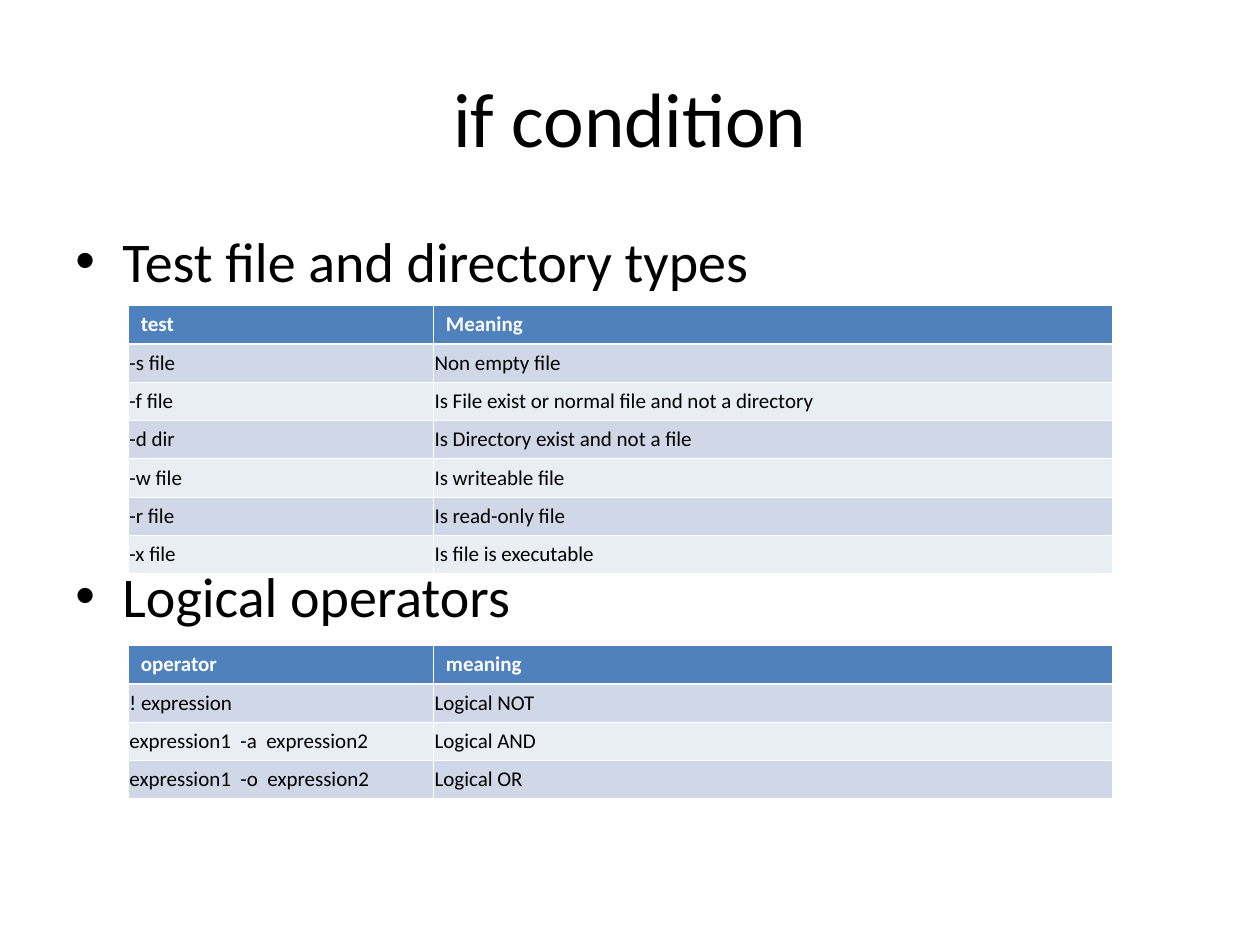
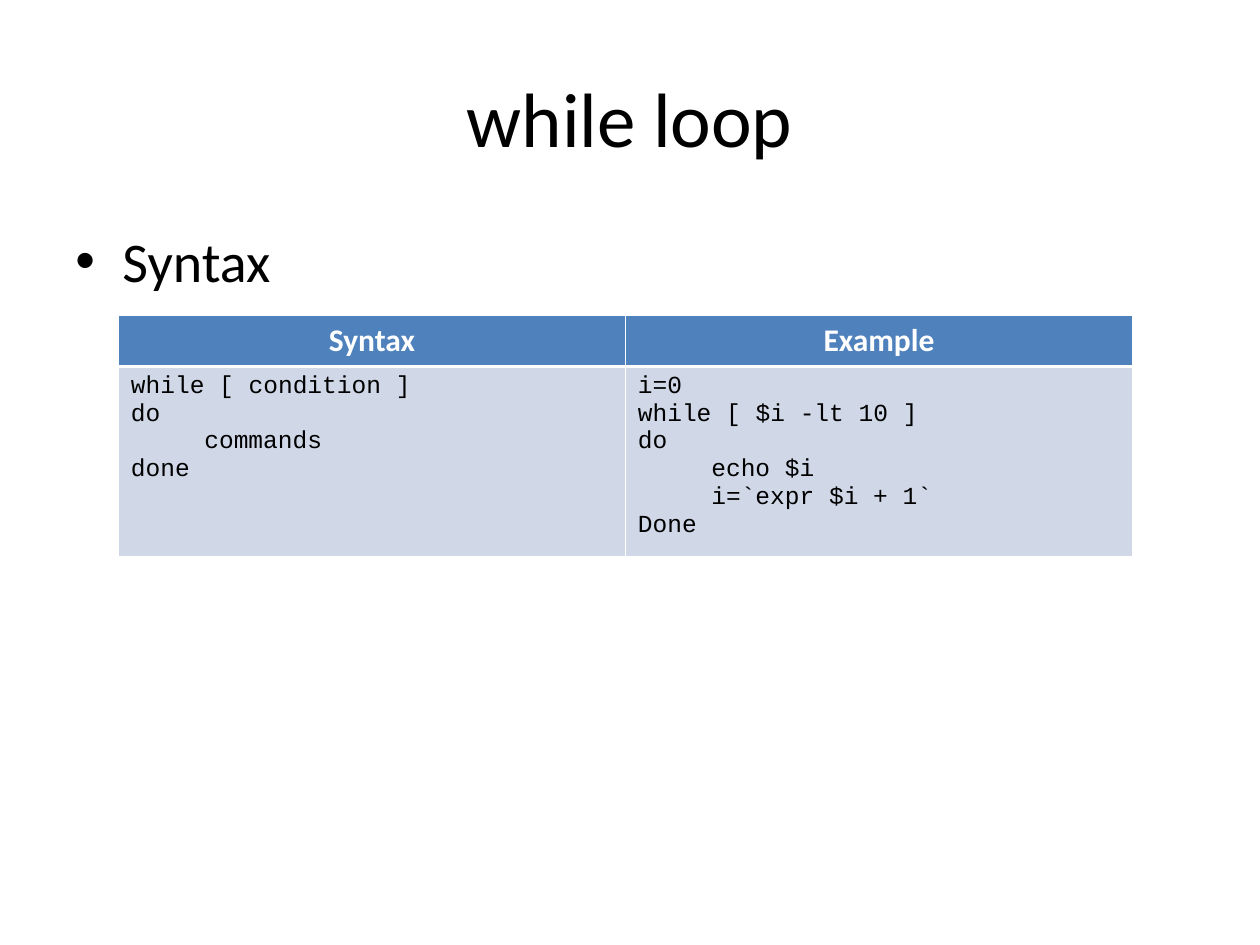
import pptx
import pptx.dml.color
import pptx.enum.text
import pptx.oxml
import pptx.util
from pptx.util import Cm, Pt

BLACK, WHITE = "000000", "FFFFFF"
HEADER_FILL = "4F81BD"
BAND_FILLS = ["D0D8E8", "E9EDF4"]
THIN, THICK = 0.45, 1.47
BODY_FONT, CODE_FONT = "Calibri", "Courier New"
LEFT_ALIGN = pptx.enum.text.PP_ALIGN.LEFT
CENTER = pptx.enum.text.PP_ALIGN.CENTER
TOP = pptx.enum.text.MSO_ANCHOR.TOP
MIDDLE = pptx.enum.text.MSO_ANCHOR.MIDDLE

MARGIN, CONTENT_WIDTH = 1.27, 22.86
TITLE_TOP, TITLE_HEIGHT = 0.76, 3.18
CELL_INSET_X, CELL_INSET_Y = 0.25, 0.13
CODE_INDENT = 1.48

# Lengths in the styles and sections are centimetres.
REFERENCE = dict(
    left=2.59, columns=[6.15, 13.69], header_height=0.79, row_height=0.71,
    header_size=12, header_align=LEFT_ALIGN,
    body_size=12, body_font=BODY_FONT, body_inset=0.02, body_anchor=MIDDLE,
)
CODE = dict(
    left=2.39, columns=[10.22, 10.22], header_height=1.04, row_height=3.81,
    header_size=18, header_align=CENTER,
    body_size=14, body_font=CODE_FONT, body_inset=CELL_INSET_X, body_anchor=TOP,
)

SLIDES = [
    ("if condition", [
        dict(heading="Test file and directory types", top=4.45, height=6.86,
             table_top=6.15, style=REFERENCE, rows=[
                 ("test", "Meaning"),
                 ("-s file", "Non empty file"),
                 ("-f file", "Is File exist or normal file and not a directory"),
                 ("-d dir", "Is Directory exist and not a file"),
                 ("-w file", "Is writeable file"),
                 ("-r file", "Is read-only file"),
                 ("-x file", "Is file is executable"),
             ]),
        dict(heading="Logical operators", top=11.2, height=6.86,
             table_top=13, style=REFERENCE, rows=[
                 ("operator", "meaning"),
                 ("! expression", "Logical NOT"),
                 ("expression1  -a  expression2", "Logical AND"),
                 ("expression1  -o  expression2", "Logical OR"),
             ]),
    ]),
    ("while loop", [
        dict(heading="Syntax", top=4.45, height=12.57,
             table_top=6.35, style=CODE, rows=[
                 ("Syntax", "Example"),
                 ("while [ condition ]\ndo\n\tcommands\ndone",
                  "i=0\nwhile [ $i -lt 10 ]\ndo\n\techo $i\n\ti=`expr $i + 1`\nDone"),
             ]),
    ]),
]


def color(hex_value):
    return pptx.dml.color.RGBColor.from_string(hex_value)


def add_run(paragraph, text, size, font=BODY_FONT, ink=BLACK, bold=False):
    run = paragraph.add_run()
    run.text = text
    run.font.size = Pt(size)
    run.font.name = font
    run.font.bold = bold
    run.font.color.rgb = color(ink)


def append_xml(parent, tag, attributes, children=""):
    namespace = pptx.oxml.ns.nsdecls("a")
    parent.append(pptx.oxml.parse_xml(
        f"<a:{tag} {namespace} {attributes}>{children}</a:{tag}>"))


def add_text_frame(slide, top, height):
    box = slide.shapes.add_textbox(Cm(MARGIN), Cm(top), Cm(CONTENT_WIDTH), Cm(height))
    box.text_frame.word_wrap = True
    return box.text_frame


def add_title(slide, title):
    frame = add_text_frame(slide, TITLE_TOP, TITLE_HEIGHT)
    frame.vertical_anchor = MIDDLE
    frame.paragraphs[0].alignment = CENTER
    add_run(frame.paragraphs[0], title, 44)


def add_bullet_heading(slide, heading, top, height):
    paragraph = add_text_frame(slide, top, height).paragraphs[0]
    paragraph.space_before = Pt(8)
    properties = paragraph._p.get_or_add_pPr()
    properties.set("marL", str(Cm(0.95)))
    properties.set("indent", str(Cm(-0.95)))
    append_xml(properties, "buClr", "", f'<a:srgbClr val="{BLACK}"/>')
    append_xml(properties, "buFont", 'typeface="Arial"')
    append_xml(properties, "buChar", 'char="•"')
    add_run(paragraph, heading, 32)


def paint_cell(cell, fill, top_width, bottom_width):
    """Draw white borders, thicker along the header's lower edge, and fill the cell."""
    properties = cell._tc.get_or_add_tcPr()
    for side, width in zip("LRTB", (THIN, THIN, top_width, bottom_width)):
        append_xml(properties, f"ln{side}", f'w="{Pt(width)}"',
                   f'<a:solidFill><a:srgbClr val="{WHITE}"/></a:solidFill>')
    cell.fill.solid()
    cell.fill.fore_color.rgb = color(fill)


def write_cell(cell, text, align, **run_style):
    """Write one paragraph per line; a leading tab becomes a paragraph indent."""
    frame = cell.text_frame
    for number, line in enumerate(text.split("\n")):
        paragraph = frame.add_paragraph() if number else frame.paragraphs[0]
        paragraph.alignment = align
        if line.startswith("\t"):
            paragraph._p.get_or_add_pPr().set("marL", str(Cm(CODE_INDENT)))
        add_run(paragraph, line.lstrip("\t"), **run_style)


def add_grid(slide, top, rows, style):
    heights = [style["header_height"]] + [style["row_height"]] * (len(rows) - 1)
    table = slide.shapes.add_table(
        len(rows), len(style["columns"]), Cm(style["left"]), Cm(top),
        Cm(sum(style["columns"])), Cm(sum(heights))).table
    table.horz_banding = False
    for column, width in zip(table.columns, style["columns"]):
        column.width = Cm(width)
    for r, (texts, height) in enumerate(zip(rows, heights)):
        table.rows[r].height = Cm(height)
        header = r == 0
        inset = CELL_INSET_X if header else style["body_inset"]
        for c, text in enumerate(texts):
            cell = table.cell(r, c)
            cell.margin_left = cell.margin_right = Cm(inset)
            cell.margin_top = cell.margin_bottom = Cm(CELL_INSET_Y)
            if header:
                paint_cell(cell, HEADER_FILL, THIN, THICK)
                write_cell(cell, text, style["header_align"],
                           size=style["header_size"], ink=WHITE, bold=True)
            else:
                cell.vertical_anchor = style["body_anchor"]
                paint_cell(cell, BAND_FILLS[(r - 1) % 2], THICK if r == 1 else THIN, THIN)
                write_cell(cell, text, LEFT_ALIGN,
                           size=style["body_size"], font=style["body_font"])


def main():
    deck = pptx.Presentation()
    deck.slide_width, deck.slide_height = Cm(25.4), Cm(19.05)
    for title, sections in SLIDES:
        slide = deck.slides.add_slide(deck.slide_layouts[6])
        add_title(slide, title)
        for section in sections:
            add_bullet_heading(slide, section["heading"], section["top"], section["height"])
            add_grid(slide, section["table_top"], section["rows"], section["style"])
    deck.save("out.pptx")


if __name__ == "__main__":
    main()
